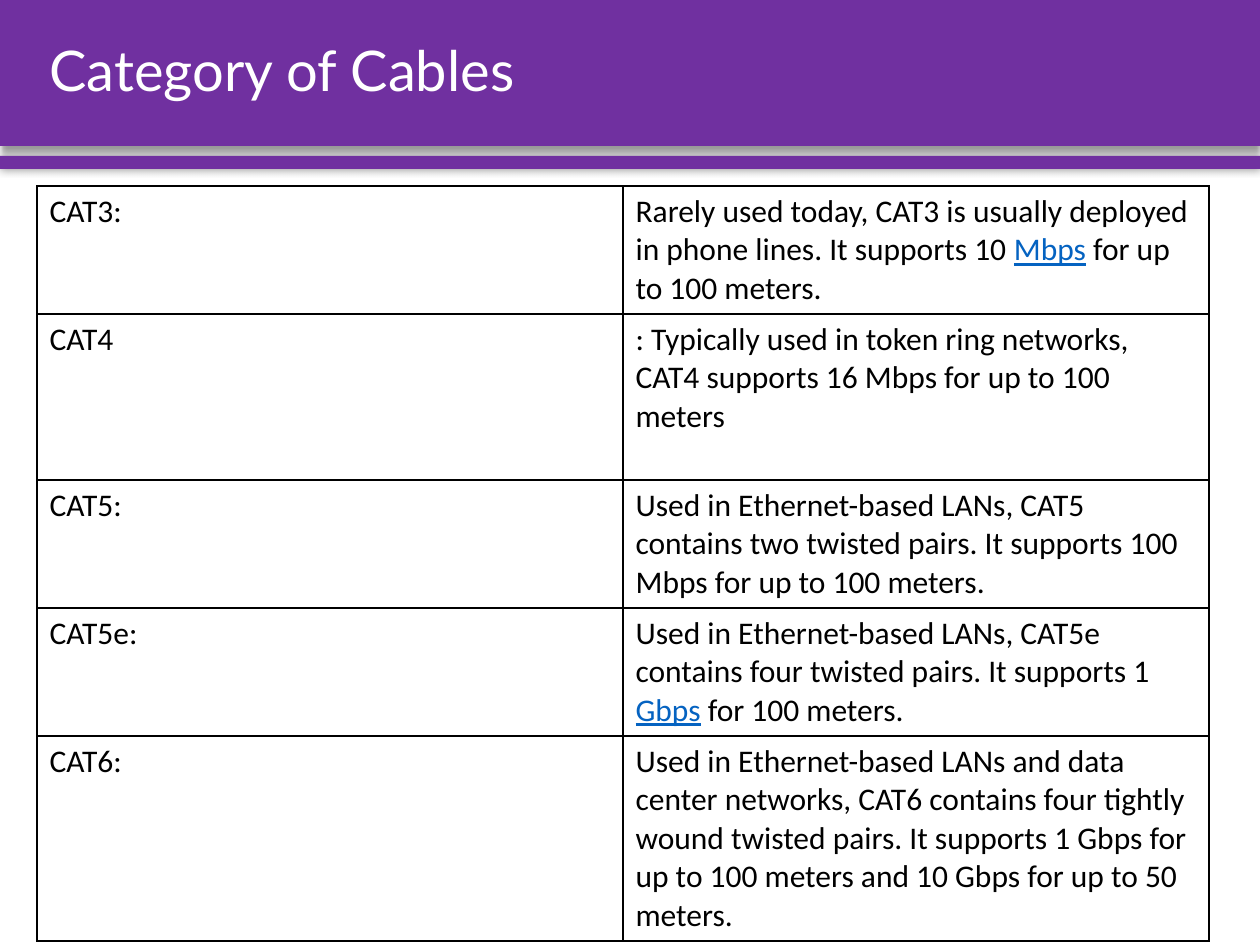
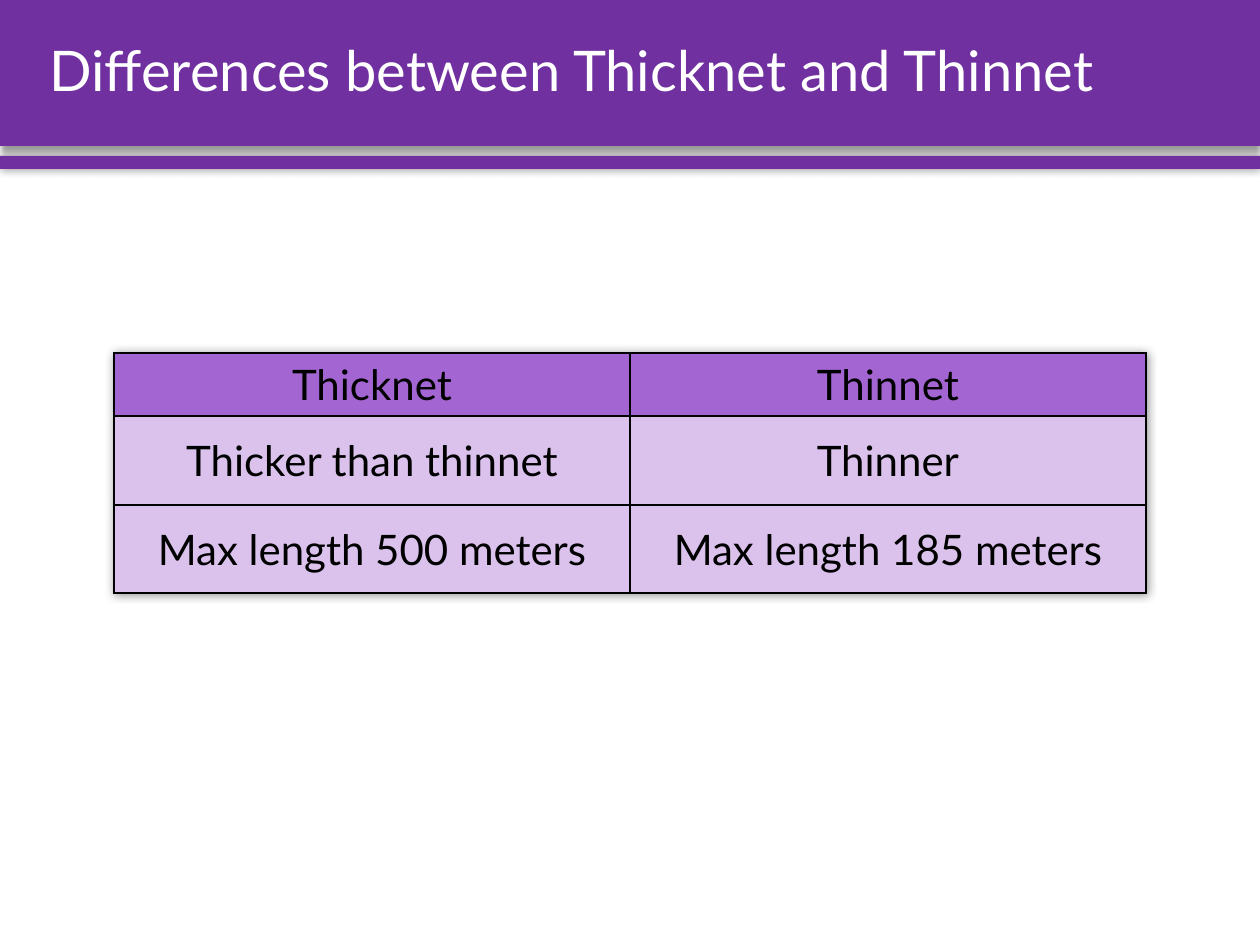
from lxml import etree
from pptx import Presentation
from pptx.dml.color import RGBColor
from pptx.enum.shapes import MSO_SHAPE
from pptx.enum.text import MSO_ANCHOR, PP_ALIGN
from pptx.oxml import parse_xml
from pptx.oxml.ns import qn
from pptx.util import Pt

RECT = MSO_SHAPE.RECTANGLE
TOP, MIDDLE = MSO_ANCHOR.TOP, MSO_ANCHOR.MIDDLE
LEFT, CENTER = PP_ALIGN.LEFT, PP_ALIGN.CENTER

PX = 914400 / 126  # EMU in one px
C = {"band": "7030A0", "white": "FFFFFF", "black": "000000", "link": "0563C1",
     "head": "A365D1", "body": "DAC2EC"}
DRAWING = "http://schemas.openxmlformats.org/drawingml/2006/main"


def write(tf, text, font, size, color="black", align=LEFT, spacing=None):
    """Fill the first paragraph; parts between bars look like links."""
    tf.word_wrap = True
    p = tf.paragraphs[0]
    p.alignment = align
    p.line_spacing = spacing
    for i, part in enumerate(text.split("|")):
        is_link = i % 2 == 1
        r = p.add_run()
        r.text = part
        r.font.name, r.font.size, r.font.bold = font, Pt(size), False
        r.font.underline = is_link
        r.font.color.rgb = RGBColor.from_string(C["link" if is_link else color])


def shadow_xml(blur, dist, angle):
    return parse_xml(
        f'<a:effectLst xmlns:a="{DRAWING}"><a:outerShdw blurRad="{Pt(blur)}" '
        f'dist="{Pt(dist)}" dir="{angle * 60000}" algn="ctr" rotWithShape="0">'
        f'<a:srgbClr val="{C["black"]}"><a:alpha val="40000"/></a:srgbClr>'
        f'</a:outerShdw></a:effectLst>')


# Shared bands: top, height, shadow (blur, distance, angle)
bands = [(0, 146, (4, 3, 90)), (156, 13, (5, 0, 0))]

slides = [
    dict(
        title="Category of Cables",
        left=37, top=186, col_width=586, row_heights=[128, 166, 128, 128, 204],
        fills=[None] * 5, anchor=TOP, shadow=None,
        text=dict(font="Calibri", size=18),
        rows=[
            ("CAT3:", "Rarely used today, CAT3 is usually deployed in phone lines. "
                      "It supports 10 |Mbps| for up to 100 meters."),
            ("CAT4", ": Typically used in token ring networks, CAT4 supports "
                     "16 Mbps for up to 100 meters"),
            ("CAT5:", "Used in Ethernet-based LANs, CAT5 contains two twisted pairs. "
                      "It supports 100 Mbps for up to 100 meters."),
            ("CAT5e:", "Used in Ethernet-based LANs, CAT5e contains four twisted pairs. "
                       "It supports 1 |Gbps| for 100 meters."),
            ("CAT6:", "Used in Ethernet-based LANs and data center networks, CAT6 "
                      "contains four tightly wound twisted pairs. It supports 1 Gbps "
                      "for up to 100 meters and 10 Gbps for up to 50 meters."),
        ]),
    dict(
        title="Differences between Thicknet and Thinnet",
        left=114, top=353, col_width=516, row_heights=[62, 89, 88],
        fills=["head", "body", "body"], anchor=MIDDLE, shadow=(5, 0, 0),
        text=dict(font="Lato", size=24, align=CENTER),
        rows=[
            ("Thicknet", "Thinnet"),
            ("Thicker than thinnet", "Thinner"),
            ("Max length 500 meters", "Max length 185 meters"),
        ]),
]

prs = Presentation()
prs.slide_width, prs.slide_height = int(1260 * PX), int(945 * PX)

for spec_data in slides:
    s = prs.slides.add_slide(prs.slide_layouts[6])

    # Bands
    for top, height, shadow in bands:
        sp = s.shapes.add_shape(RECT, 0, int(top * PX), prs.slide_width, int(height * PX))
        sp.fill.solid()
        sp.fill.fore_color.rgb = RGBColor.from_string(C["band"])
        sp.line.fill.background()
        sp._element.spPr.append(shadow_xml(*shadow))

    # Table
    heights = spec_data["row_heights"]
    frame = s.shapes.add_table(
        len(heights), 2, int(spec_data["left"] * PX), int(spec_data["top"] * PX),
        int(2 * spec_data["col_width"] * PX), int(sum(heights) * PX))
    table = frame.table
    table.first_row = table.horz_banding = False
    if spec_data["shadow"]:
        table._tbl.tblPr.insert(0, shadow_xml(*spec_data["shadow"]))
    for column in table.columns:
        column.width = int(spec_data["col_width"] * PX)

    for i, (height, fill, texts) in enumerate(
            zip(heights, spec_data["fills"], spec_data["rows"])):
        table.rows[i].height = int(height * PX)
        for cell, text in zip(table.rows[i].cells, texts):
            cell.vertical_anchor = spec_data["anchor"]
            tcPr = cell._tc.get_or_add_tcPr()
            for side in ("a:lnL", "a:lnR", "a:lnT", "a:lnB"):
                ln = etree.SubElement(tcPr, qn(side), w=str(Pt(1)))
                solid = etree.SubElement(ln, qn("a:solidFill"))
                etree.SubElement(solid, qn("a:srgbClr"), val=C["black"])
            if fill:
                cell.fill.solid()
                cell.fill.fore_color.rgb = RGBColor.from_string(C[fill])
            else:
                cell.fill.background()
            write(cell.text_frame, text, **spec_data["text"])

    # Title
    box = s.shapes.add_textbox(int(37 * PX), 0, int(1192 * PX), int(146 * PX))
    box.text_frame.vertical_anchor = MIDDLE
    write(box.text_frame, spec_data["title"], "Lato", 32, color="white", spacing=0.9)

prs.save("out.pptx")
